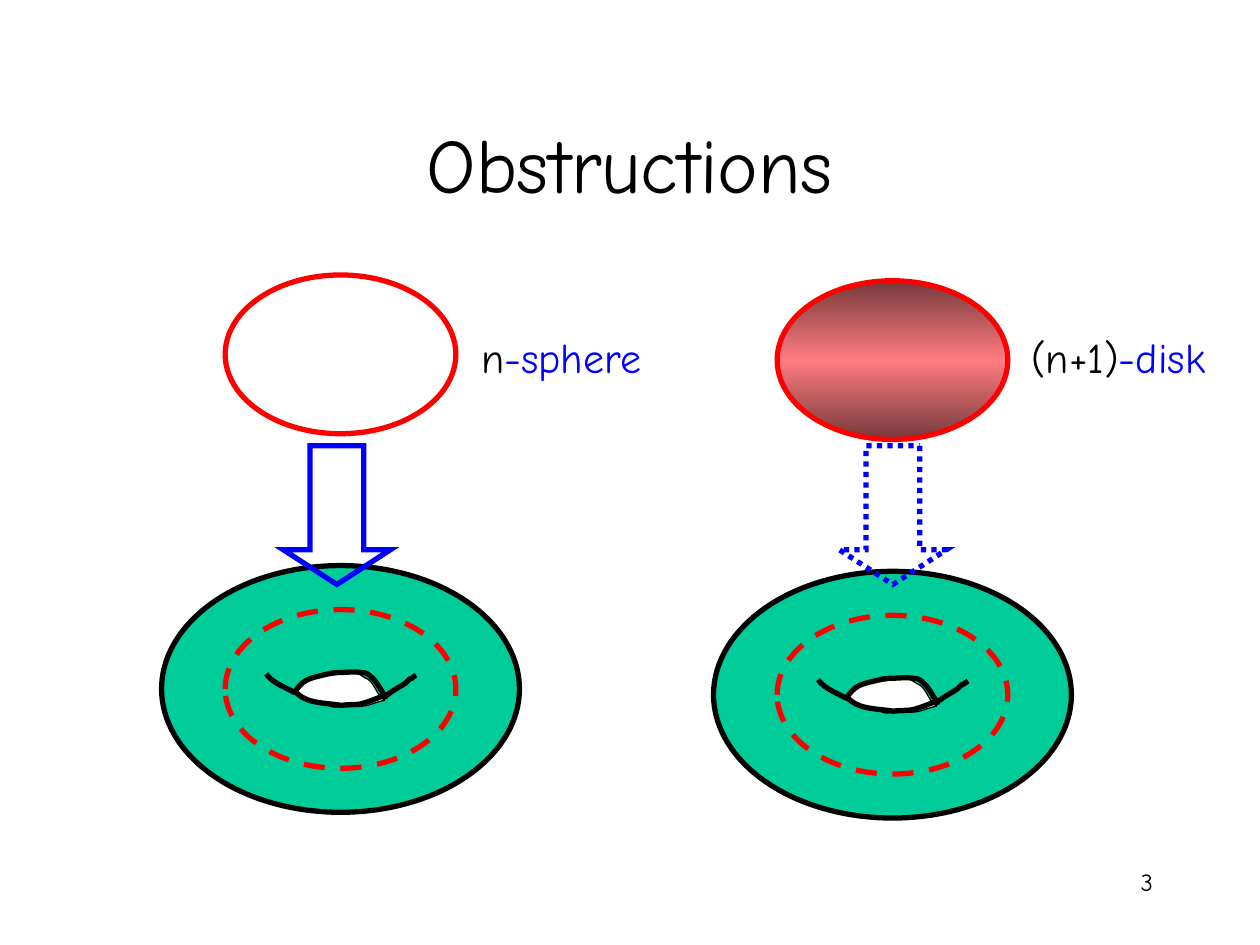
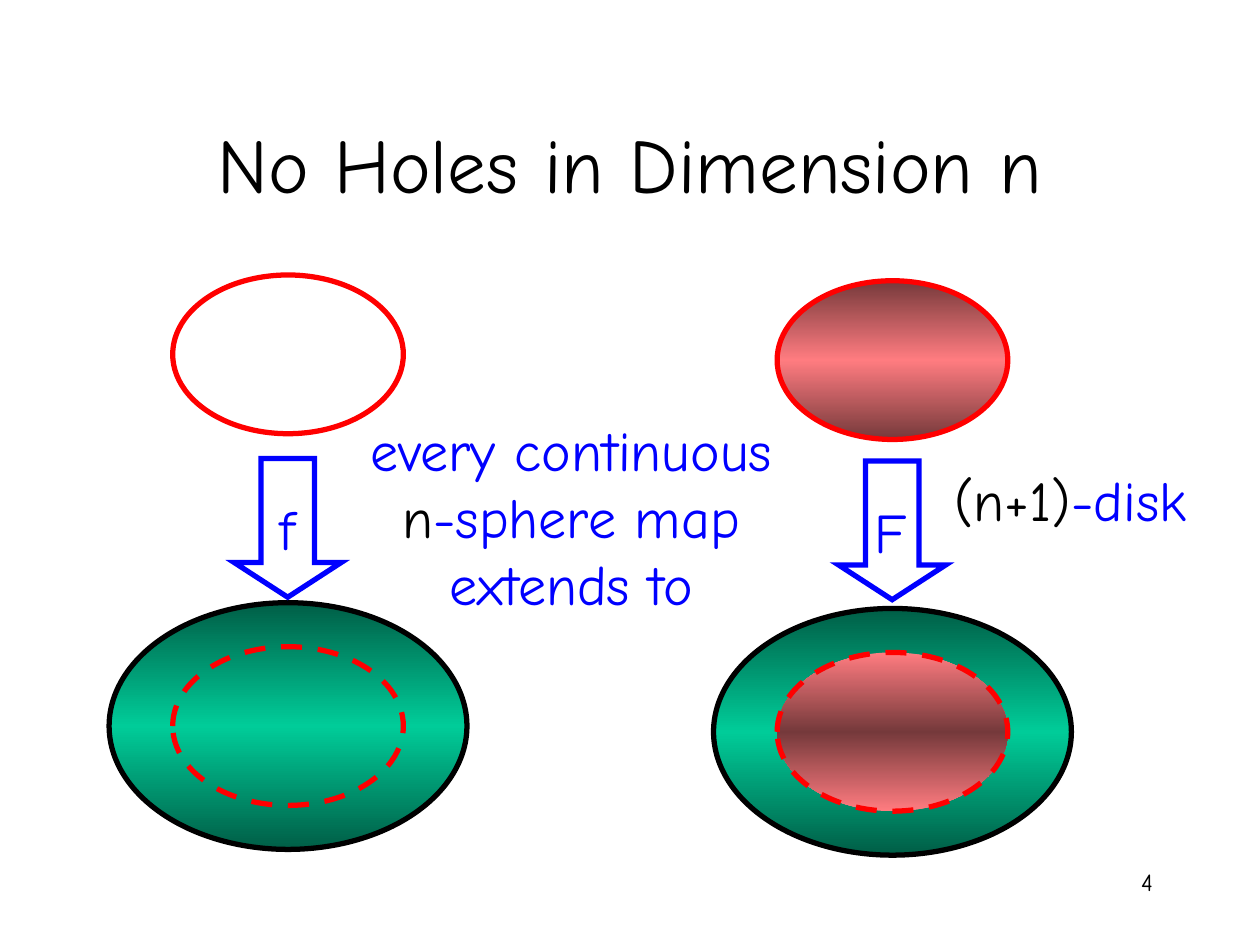
from copy import deepcopy

from lxml import etree
from pptx import Presentation
from pptx.dml.color import RGBColor
from pptx.enum import dml, shapes, text
from pptx.oxml.ns import qn
from pptx.util import Pt

rgb = RGBColor.from_string
FONT = "Comic Neue"
BLACK, WHITE, RED, BLUE, GREEN = "000000", "FFFFFF", "FF0000", "0000FF", "00CC99"
PINK, MAROON, DARK_GREEN = "FF7C80", "75393B", "005E46"
DISK = (MAROON, PINK, MAROON)
IMAGE_DISK = (PINK, MAROON, PINK)
SHADED_SPACE = (DARK_GREEN, GREEN, DARK_GREEN)
DASH, DOT = dml.MSO_LINE.DASH, dml.MSO_LINE.ROUND_DOT
CENTER, RIGHT = text.PP_ALIGN.CENTER, text.PP_ALIGN.RIGHT
MIDDLE, TOP = text.MSO_ANCHOR.MIDDLE, text.MSO_ANCHOR.TOP
ELLIPSE, ARROW = shapes.MSO_SHAPE.OVAL, shapes.MSO_SHAPE.RIGHT_ARROW

# Sizes shared by both slides
SPACE_W, SPACE_H = 204.5, 141
SPHERE_W, SPHERE_H = 131.8, 90.7
ARROW_W, ARROW_H = 79.2, 61.2
SPHERE_Y = 202.5
DROP = 3.3  # the right-hand column sits slightly lower

# Hole of the torus: cubic curves around its centre (start, then control, control, end)
HOLE = [(-25.2, 2.2), (-23, 2.9), (-21.6, 5), (-19.4, 5),
        (-18, 5.8), (-16.6, 6.5), (-15.1, 6.5), (-13, 7.9), (-10.8, 7.9), (-8.6, 8.6),
        (-2.2, 11.5), (-6.5, 10.1), (5.8, 10.1), (18, 10.1), (15.8, 8.6), (25.2, 6.5),
        (20.2, 3.6), (19.4, -5), (13.7, -6.5), (12.2, -7.9), (10.1, -8.6), (8.6, -9.4),
        (0, -8.6), (-7.2, -7.9), (-15.8, -5.8), (-18, -5), (-20.9, -2.9), (-23, -2.9),
        (-24.5, -1.4), (-27.4, 0.7), (-25.2, 2.2)]
UPPER_RIM = [(-26.6, 2.2), (-24.5, -0.7), (-22.3, -3.6), (-19.4, -5),
             (-16.6, -6.5), (-13, -7.2), (-10.1, -7.9), (-7.2, -8.6), (-4.3, -9.4), (-0.7, -9.4),
             (2.9, -9.4), (8.6, -10.1), (11.5, -9.4), (15.1, -9.4), (15.8, -8.6), (18.7, -5.8),
             (20.9, -3.6), (25.2, 3.6), (25.9, 5.8)]
LOWER_RIM = [(-42.5, -8.6), (-39.6, -4.3), (-33.1, -1.4), (-28.8, 0.7),
             (-27.4, 1.4), (-26.6, 2.2), (-25.2, 2.2), (-21.6, 5.8), (-16.6, 7.2), (-11.5, 7.9),
             (-7.2, 8.6), (-4.3, 8.6), (0.7, 9.4), (5, 8.6), (10.1, 9.4), (13.7, 7.9),
             (18.7, 6.5), (23, 4.3), (27.4, 2.9), (31, 0), (34.6, -1.4), (37.4, -3.6),
             (38.2, -4.3), (38.9, -5), (39.6, -5.8), (39.6, -5.8), (40.3, -5.8), (40.3, -5.8),
             (41, -6.5), (43.2, -7.9), (43.2, -7.9)]


def paint(shape, line, fill=None, dash=None, width=3):
    """Fill with nothing, one colour or a three-stop vertical gradient, and outline."""
    shape.shadow.inherit = False
    if fill is None:
        shape.fill.background()
    elif isinstance(fill, str):
        shape.fill.solid()
        shape.fill.fore_color.rgb = rgb(fill)
    else:
        shape.fill.gradient()
        shape.fill.gradient_angle = 90
        stops = shape._element.spPr.find(".//" + qn("a:gsLst"))
        stops.append(deepcopy(stops[0]))
        for stop, position, color in zip(shape.fill.gradient_stops, (0, 0.5, 1), fill):
            stop.position = position
            stop.color.rgb = rgb(color)
    shape.line.color.rgb = rgb(line)
    shape.line.width = Pt(width)
    if dash:
        shape.line.dash_style = dash


def write(box, runs, size, align=CENTER, anchor=MIDDLE, wrap=True):
    """Fill a text box or placeholder with (wording, colour) runs."""
    frame = box.text_frame
    frame.word_wrap = wrap
    frame.vertical_anchor = anchor
    paragraph = frame.paragraphs[0]
    paragraph.alignment = align
    for wording, color in runs:
        run = paragraph.add_run()
        run.text = wording
        run.font.name = FONT
        run.font.size = Pt(size)
        run.font.color.rgb = rgb(color)


prs = Presentation()
prs.slide_width, prs.slide_height = Pt(720), Pt(540)

# Columns: centre x, sphere fill, space centre y, space fill, image fill,
#          arrow centre, arrow dash
# Labels:  box, runs, size, wrap
disk_label = [("(n+1)", BLACK), ("-disk", BLUE)]
contents = [
    {"title": "Obstructions", "number": "3", "holes": True,
     "columns": [
         (194.6, None, 393.7, GREEN, None, (192.5, 294.4), None),
         (510, DISK, 393.7 + DROP, GREEN, None, (510.2, 294.4), DOT)],
     "labels": [
         ((267.4, 185.8, 106.6, 36), [("n", BLACK), ("-sphere", BLUE)], 24, False),
         ((570, 185.8, 138.2, 36), disk_label, 24, True)]},
    {"title": "No Holes in Dimension n", "number": "4", "holes": False,
     "columns": [
         (164.6, None, 414.9, SHADED_SPACE, None, (164.4, 301.7), None),
         (510, DISK, 414.9 + DROP, SHADED_SPACE, IMAGE_DISK, (509.8, 303.1), None)],
     "labels": [
         ((193.2, 233.7, 266.4, 122.4),
          [("every continuous ", BLUE), ("n", BLACK), ("-sphere map extends to", BLUE)], 32, True),
         ((528.2, 262.1, 167, 46), disk_label, 32, True),
         ((152.6, 278.8, 23, 46), [("f", BLUE)], 32, False),
         ((492.5, 280.4, 32.4, 46), [("F", BLUE)], 32, False)]},
]

for content in contents:
    slide = prs.slides.add_slide(prs.slide_layouts[5])

    # Title
    title = slide.shapes.title
    title.left, title.top, title.width, title.height = Pt(54), Pt(48), Pt(612), Pt(90)
    write(title, [(content["title"], BLACK)], 44)

    for column, (x, sphere_fill, space_y, space_fill, image_fill, arrow_at, arrow_dash) in enumerate(
            content["columns"]):
        # Space, with the hole when it is a torus
        parent = slide.shapes.add_group_shape().shapes if content["holes"] else slide.shapes
        space = parent.add_shape(ELLIPSE, Pt(x - SPACE_W / 2), Pt(space_y - SPACE_H / 2),
                                 Pt(SPACE_W), Pt(SPACE_H))
        paint(space, BLACK, space_fill)
        if content["holes"]:
            for curve, fill, width in ((HOLE, WHITE, 0.75), (UPPER_RIM, None, 3), (LOWER_RIM, None, 3)):
                start, *points = [(Pt(x + dx), Pt(space_y + dy)) for dx, dy in curve]
                builder = parent.build_freeform(*start)
                builder.add_line_segments(points, close=fill is not None)
                outline = builder.convert_to_shape()
                paint(outline, BLACK, fill, width=width)
                # Turn each three line points into one cubic curve
                segments = list(outline._element.iter(qn("a:lnTo")))
                for i in range(0, len(segments), 3):
                    cubic = etree.Element(qn("a:cubicBezTo"))
                    segments[i].addprevious(cubic)
                    for segment in segments[i:i + 3]:
                        cubic.append(segment[0])
                        segment.getparent().remove(segment)

        # Sphere or disk above, and its dashed image in the space
        for y, fill, dash in ((space_y, image_fill, DASH),
                              (SPHERE_Y + column * DROP, sphere_fill, None)):
            sphere = slide.shapes.add_shape(ELLIPSE, Pt(x - SPHERE_W / 2), Pt(y - SPHERE_H / 2),
                                            Pt(SPHERE_W), Pt(SPHERE_H))
            paint(sphere, RED, fill, dash)

        # Map from sphere to space, with sharp corners
        arrow = slide.shapes.add_shape(ARROW, Pt(arrow_at[0] - ARROW_W / 2),
                                       Pt(arrow_at[1] - ARROW_H / 2), Pt(ARROW_W), Pt(ARROW_H))
        arrow.rotation = 90
        arrow.adjustments[0], arrow.adjustments[1] = 0.5, 0.324
        paint(arrow, BLUE, dash=arrow_dash)
        etree.SubElement(arrow._element.spPr.find(qn("a:ln")), qn("a:miter"), lim="800000")

    # Labels
    for box, runs, size, wrap in content["labels"]:
        label = slide.shapes.add_textbox(*map(Pt, box))
        write(label, runs, size, wrap=wrap)
        label.text_frame.auto_size = text.MSO_AUTO_SIZE.SHAPE_TO_FIT_TEXT

    # Slide number
    number = slide.shapes.add_textbox(Pt(516), Pt(492), Pt(150), Pt(36))
    write(number, [(content["number"], BLACK)], 14, RIGHT, TOP)

prs.save("out.pptx")
